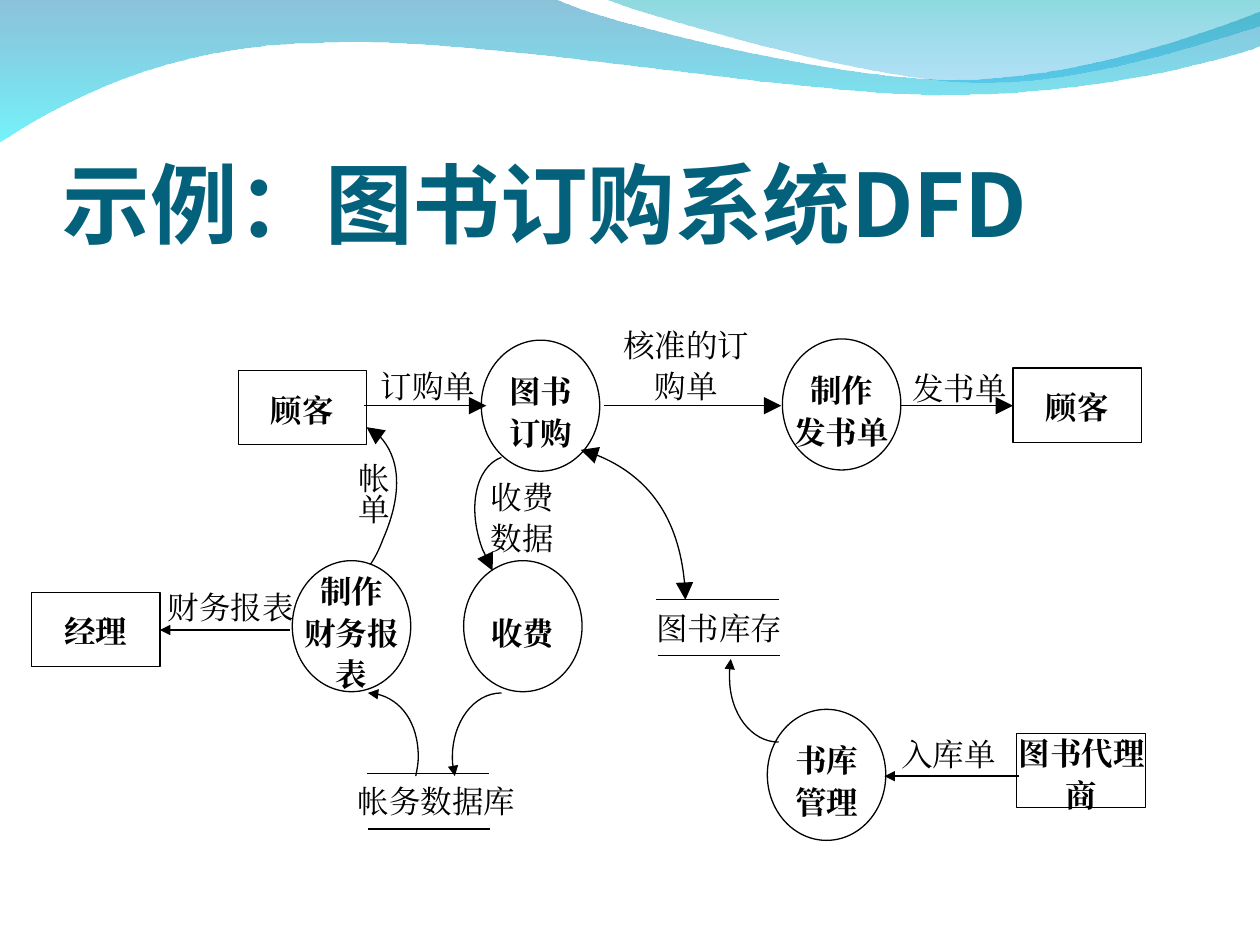
from collections import namedtuple

from lxml import etree
from pptx import Presentation
from pptx.dml.color import RGBColor
from pptx.enum.shapes import MSO_CONNECTOR, MSO_SHAPE
from pptx.enum.text import MSO_ANCHOR, PP_ALIGN
from pptx.oxml.ns import qn
from pptx.util import Inches, Pt

STRAIGHT = MSO_CONNECTOR.STRAIGHT
RECTANGLE, ELLIPSE = MSO_SHAPE.RECTANGLE, MSO_SHAPE.OVAL
MIDDLE, BOTTOM = MSO_ANCHOR.MIDDLE, MSO_ANCHOR.BOTTOM
CENTER, LEFT = PP_ALIGN.CENTER, PP_ALIGN.LEFT

BLACK = RGBColor(0x00, 0x00, 0x00)
TITLE_TEAL = RGBColor(0x04, 0x61, 0x7B)
DEEP_BLUE = RGBColor(0x00, 0x79, 0xAF)
CYAN = RGBColor(0x00, 0xEB, 0xF8)
SEA_GREEN = RGBColor(0x00, 0xAD, 0xB6)
SKY_BLUE = RGBColor(0x00, 0x9B, 0xE5)

BODY_FONT, TITLE_FONT = "Times New Roman", "Noto Sans CJK SC"

# The slide is a grid of 100 columns by 75 rows; a box is counted in its cells.
COLUMNS, ROWS = 100, 75
CELL = Inches(0.1)
ENTITY = (10.2, 5.9)
PROCESS = (9.4, 10.4)
PROCESS_TEXT = (10.8, 9.6)
LABEL_ROWS = 5.7
STORE_COLUMNS, STORE_ROWS = 9.7, 4.4

Box = namedtuple("Box", "col row cols rows")


def inside(box, col, row, cols=0, rows=0):
    """Return a box whose place is counted from the corner of another."""
    return Box(box.col + col, box.row + row, cols, rows)


def emu(box):
    return [round(cells * CELL) for cells in box]


def style_outline(shape):
    shape.shadow.inherit = False
    shape.fill.background()
    shape.line.color.rgb = BLACK
    shape.line.width = Pt(0.75)


def write(frame, text, size=18, font=BODY_FONT, color=BLACK, bold=False,
          align=CENTER, anchor=MIDDLE, spacing=1.1):
    frame.text = text
    frame.word_wrap = True
    frame.vertical_anchor = anchor
    for para in frame.paragraphs:
        para.alignment = align
        para.line_spacing = spacing
        for span in para.runs:
            span.font.size, span.font.name, span.font.bold = Pt(size), font, bold
            span.font.color.rgb = color
            east_asian = etree.Element(qn("a:ea"), typeface=font)
            span.font._element.find(qn("a:latin")).addnext(east_asian)


def add_text(slide, box, text, **style):
    frame = slide.shapes.add_textbox(*emu(box)).text_frame
    write(frame, text, **style)
    return frame


def add_entity(slide, box, text=""):
    shape = slide.shapes.add_shape(RECTANGLE, *emu(box))
    style_outline(shape)
    if text:
        write(shape.text_frame, text, bold=True)


def add_process(slide, box, text):
    style_outline(slide.shapes.add_shape(ELLIPSE, *emu(box)))
    add_text(slide, inside(box, -0.7, 0.75, *PROCESS_TEXT), text, bold=True)


def add_line(slide, start, end):
    line = slide.shapes.add_connector(STRAIGHT, *emu(start[:2] + end[:2]))
    line.line.color.rgb = BLACK
    line.line.width = Pt(0.75)
    etree.SubElement(line._element.spPr, qn("a:effectLst"))
    return line


def add_store(slide, box, text, text_col, text_cols):
    for shift, row in ((0, 0), (0.1, STORE_ROWS)):
        add_line(slide, inside(box, shift, row), inside(box, shift + STORE_COLUMNS, row))
    add_text(slide, inside(box, text_col, -0.7, text_cols, 5.5), text)


def add_arrowheads(shape, size, ends=("tailEnd",)):
    outline = shape.line._get_or_add_ln()
    for end in ends:
        etree.SubElement(outline, qn("a:" + end), type="triangle", w=size, len=size)


def add_straight_flow(slide, box, row, start, end, size="med"):
    add_arrowheads(add_line(slide, inside(box, start, row), inside(box, end, row)), size)


def add_outline(slide, box, start, segments, close=False):
    """Draw segments of one point (a line) or three points (a Bezier curve)."""
    def point(place):
        return emu(inside(box, *place)[:2])

    builder = slide.shapes.build_freeform(*point(start), scale=1.0)
    builder.add_line_segments([point(p) for part in segments for p in part], close=close)
    shape = builder.convert_to_shape()
    steps = iter(list(shape._element.iter(qn("a:lnTo"))))
    for part in segments:
        group = [next(steps) for _ in part]
        if len(group) == 3:
            curve = etree.Element(qn("a:cubicBezTo"))
            group[0].addprevious(curve)
            for step in group:
                curve.append(step[0])
                step.getparent().remove(step)
    return shape


def add_curved_flow(slide, box, points, size="med", ends=("tailEnd",)):
    curves = [points[i:i + 3] for i in range(1, len(points), 3)]
    shape = add_outline(slide, box, points[0], curves)
    style_outline(shape)
    add_arrowheads(shape, size, ends)


def draw_waves(slide, box):
    broad = [[(44, -0.1)],
             [(47.6, 1.7), (66.4, 6.3), (75.8, 6.3)], [(85.3, 6.3), (95.8, 2.6), (100, 0.9)],
             [(100.1, 3.6)],
             [(98.3, 4.4), (87, 7.6), (74.6, 7.5)], [(62.2, 7.5), (38.2, 2.8), (25.7, 3.4)],
             [(12.9, 3.5), (4.6, 8.3), (-0.1, 11.3)], [(0, -0.1)]]
    narrow = [[(50.9, 1.1), (68.2, 6.2), (76.9, 6.5)], [(85.6, 6.9), (96.1, 3.2), (100, 2.1)],
              [(100, 0)], [(47.9, -0.1)]]
    waves = (((0, -0.1), broad, (DEEP_BLUE, 45), (CYAN, 55)),
             ((47.9, -0.1), narrow, (SEA_GREEN, 45), (SKY_BLUE, 30)))
    for start, segments, *tones in waves:
        shape = add_outline(slide, box, start, segments, close=True)
        shape.shadow.inherit = False
        shape.line.fill.background()
        shape.fill.gradient()
        shape.fill.gradient_angle = 270
        for stop, (color, _) in zip(shape.fill.gradient_stops, tones):
            stop.color.rgb = color
        for tone, (_, opacity) in zip(shape._element.spPr.iter(qn("a:srgbClr")), tones):
            etree.SubElement(tone, qn("a:alpha"), val=str(opacity * 1000))


def draw_title(slide, box):
    frame = add_text(slide, box, "示例：图书订购系统DFD", size=50, font=TITLE_FONT,
                     color=TITLE_TEAL, bold=True, align=LEFT, anchor=BOTTOM, spacing=1.0)
    frame.margin_left = frame.margin_right = frame.margin_bottom = 0


def draw_ordering(slide, box):
    for col, row in ((0.9, 3.4), (62.4, 3.2)):
        add_entity(slide, inside(box, col, row, *ENTITY), "顾客")
    add_process(slide, inside(box, 20.2, 1, *PROCESS), "图书\n订购")
    add_process(slide, inside(box, 44.1, 0.9, *PROCESS), "制作\n发书单")
    for start, end in ((10.9, 20.6), (29.9, 44), (53.4, 62.4)):
        add_straight_flow(slide, box, 6.2, start, end, size="lg")
    for text, col, row, cols in (("订购单", 10.5, 1.6, 10.9), ("核准的订购单", 29.7, 0, 13.5),
                                 ("发书单", 52.4, 1.8, 11.5)):
        add_text(slide, inside(box, col, row, cols, LABEL_ROWS), text)
    add_curved_flow(slide, box, [(28.1, 9.7), (32.9, 10.9), (36.4, 15.8), (36.4, 21.6)],
                    size="lg", ends=("headEnd", "tailEnd"))
    add_curved_flow(slide, box, [(21.8, 10.3), (19.7, 11.1), (19.1, 14.4), (20.3, 17.6),
                                 (20.6, 18.2), (20.8, 18.8), (21.1, 19.3)], size="lg")
    add_curved_flow(slide, box, [(11.4, 18.8), (11.8, 18.2), (12.1, 17.6), (12.4, 16.8),
                                 (14.1, 12.9), (13.5, 8.9), (11.1, 7.9)], size="lg")
    add_text(slide, inside(box, 19.5, 11.7, 7.9, 6.4), "收费数据")
    bill = add_text(slide, inside(box, 9.1, 9.7, 5.3, 7.5), "帐单")
    bill._element.bodyPr.set("vert", "eaVert")
    bill.margin_left = bill.margin_right = Inches(0.05)
    bill.margin_top = bill.margin_bottom = Inches(0.1)


def draw_finance(slide, box):
    add_entity(slide, inside(box, 0.5, 3, *ENTITY), "经理")
    add_process(slide, inside(box, 21.2, 0.5, *PROCESS), "制作\n财务报表")
    add_process(slide, inside(box, 34.8, 0.5, *PROCESS), "收费")
    add_straight_flow(slide, box, 6, 21, 10.7)
    add_text(slide, inside(box, 9.6, 1.2, 13.4, LABEL_ROWS), "财务报表")
    add_store(slide, inside(box, 27.1, 17.4), "帐务数据库", -3.3, 17.7)
    add_curved_flow(slide, box, [(31, 17.6), (31.1, 17.1), (31.2, 16.6), (31.2, 16.1),
                                 (31.2, 13.3), (29.4, 11), (27.2, 11)])
    add_curved_flow(slide, box, [(37.8, 11), (35.6, 11), (33.9, 13.3), (33.9, 16.1),
                                 (33.9, 16.6), (34, 17.1), (34.1, 17.6)])


def draw_stock(slide, box):
    add_store(slide, inside(box, 2.1, 1.6), "图书库存", -1.8, 13.6)
    add_process(slide, inside(box, 10.9, 10.3, *PROCESS), "书库\n管理")
    add_entity(slide, inside(box, 30.7, 12.2, *ENTITY))
    add_text(slide, inside(box, 29.7, 12.3, 12.3, 5.9), "图书代理商", bold=True)
    add_straight_flow(slide, box, 15.6, 30.9, 20.2)
    add_text(slide, inside(box, 20, 10.8, 10.6, LABEL_ROWS), "入库单")
    add_curved_flow(slide, box, [(11.8, 12.9), (9.6, 12.9), (7.9, 10.6), (7.9, 7.8),
                                 (7.9, 7.3), (7.9, 6.8), (8, 6.3)])


def main():
    deck = Presentation()
    deck.slide_width, deck.slide_height = COLUMNS * CELL, ROWS * CELL
    slide = deck.slides.add_slide(deck.slide_layouts[6])
    draw_waves(slide, Box(0, 0, COLUMNS, 12))
    draw_title(slide, Box(5, 7.7, 90, 12.5))
    draw_stock(slide, Box(50, 46, 42, 21))
    draw_finance(slide, Box(2, 44, 45, 23))
    draw_ordering(slide, Box(18, 26, 73, 22))
    deck.save("out.pptx")


if __name__ == "__main__":
    main()
